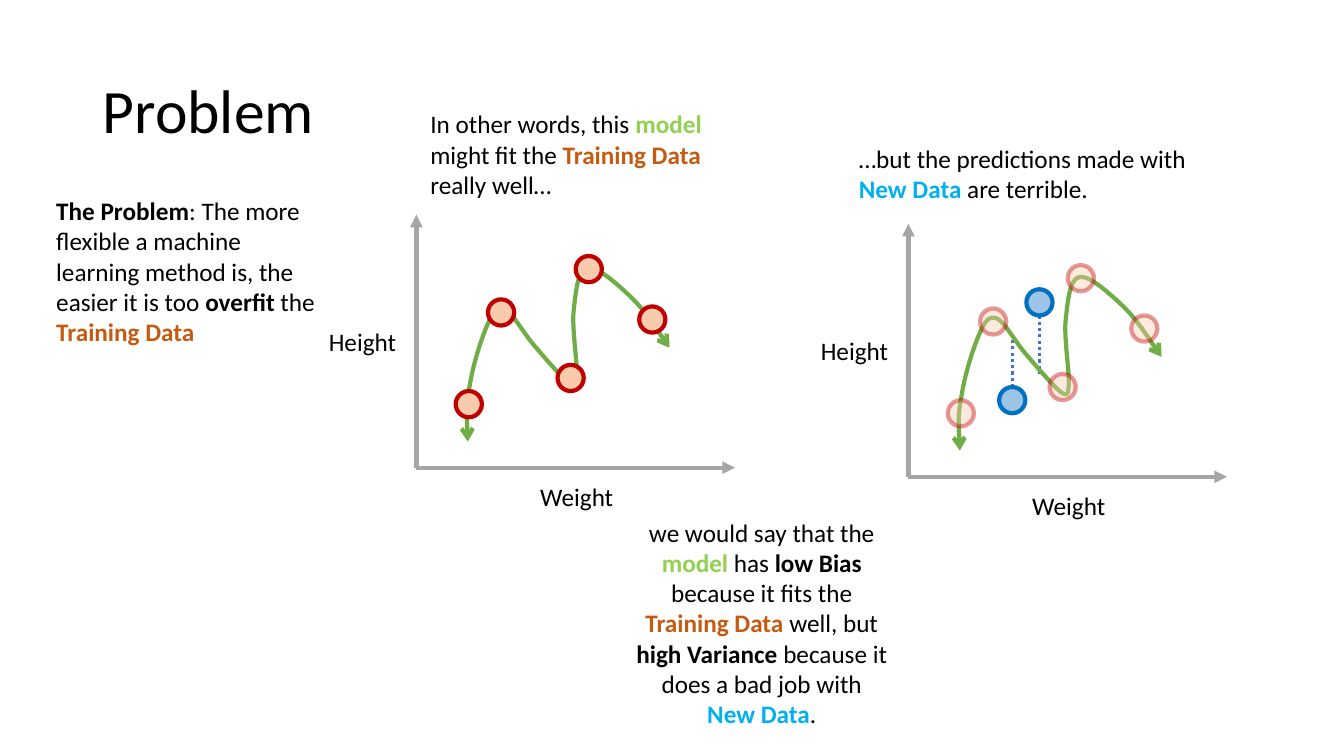
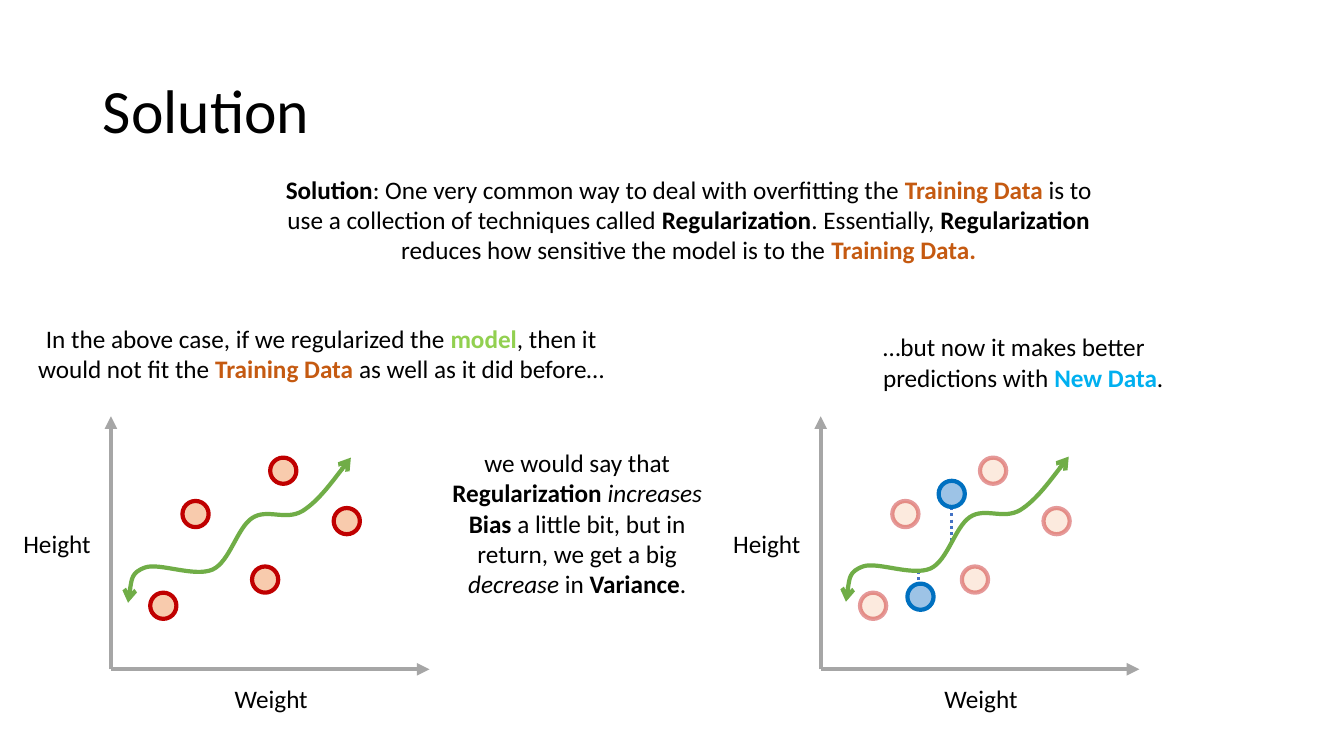
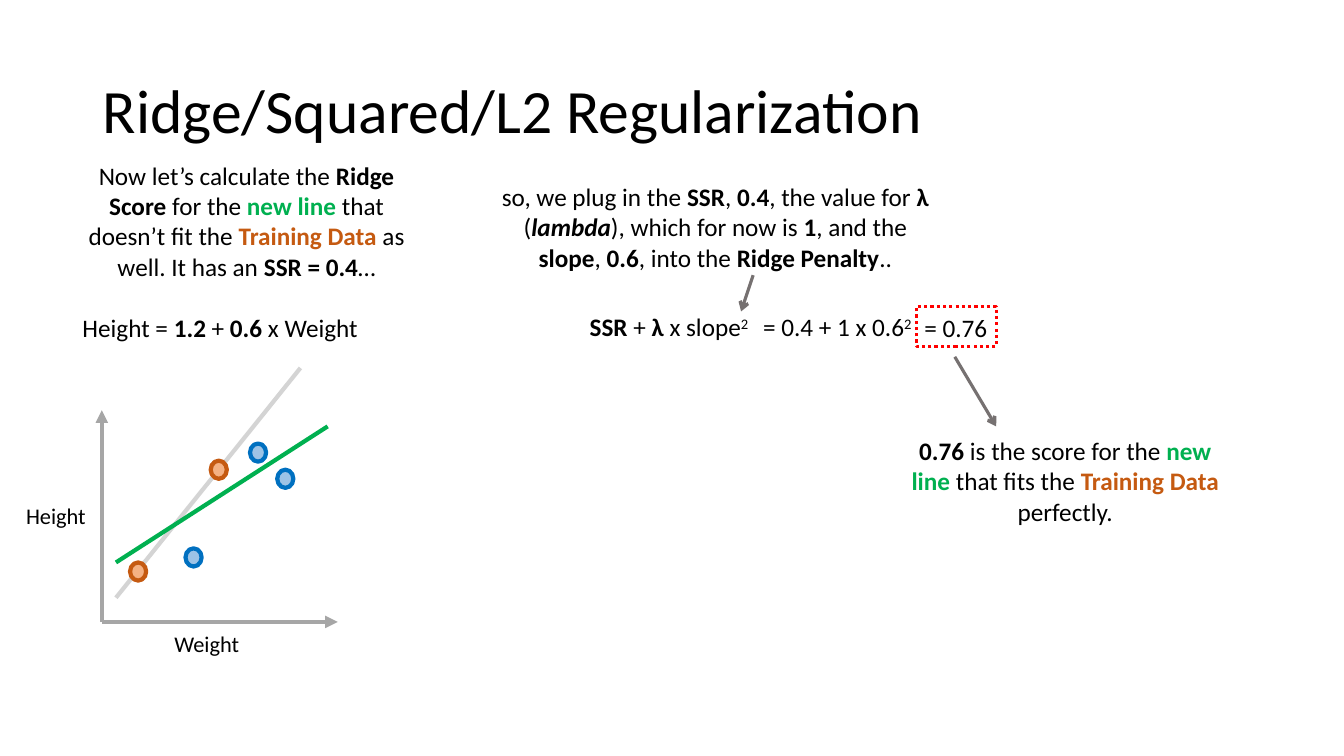
from pptx import Presentation
from pptx import util as u
from pptx.dml import color as col
from pptx.enum import dml, shapes, text
from pptx.oxml import ns
from lxml import etree

PX = 9144


class Theme:
    font = "Calibri"
    size = dict(title=44, body=18, small=16)
    ink = "000000"
    axis = "A6A6A6"
    curve = "70AD47"
    gap = "4472C4"
    fresh = "00B050"
    arrow = "767171"
    frame = "FF0000"
    runs = dict(
        plain=dict(), b=dict(bold=True), i=dict(italic=True),
        bi=dict(bold=True, italic=True), sup=dict(),
        model=dict(bold=True, tint="92D050"),
        train=dict(bold=True, tint="C55A11"),
        new=dict(bold=True, tint="00B0F0"),
        fresh=dict(bold=True, tint=fresh))
    dots = dict(
        train=("F8CBAD", "C00000", None), faint=("F8CBAD", "C00000", 40),
        new=("9DC3E6", "0070C0", None), fit=("F4B183", "C55A11", None))


LEFT, MID = text.PP_ALIGN.LEFT, text.PP_ALIGN.CENTER
POINTS = [(39, 175), (71, 84), (140, 149), (158, 41), (221, 91)]
SWING = [(51, 225), (50, 206), (49, 188), (53, 169), (56, 149), (65, 121),
         (71, 108), (76, 96), (80, 91), (88, 94), (96, 98), (107, 119),
         (118, 131), (128, 143), (144, 161), (150, 166), (157, 171),
         (158, 172), (159, 160), (160, 148), (154, 113), (156, 95),
         (158, 77), (160, 55), (169, 53), (178, 50), (197, 67), (211, 80),
         (225, 93), (251, 132), (251, 132)]
WAVE = [(17, 185), (19, 170), (20, 155), (34, 150), (48, 145), (83, 160),
        (101, 152), (118, 144), (125, 111), (140, 101), (155, 91),
        (173, 104), (190, 94), (206, 84), (238, 41), (238, 41)]
LARGE = dict(w=316, h=251, tall=(-98, 106), wide=(108, 260), size="body", dot=(26, 26))
SMALL = dict(w=234, h=210, tall=(-90, 86), wide=(53, 213), size="small", dot=(16, 18))


def emu(*vals):
    return [round(v * PX) for v in vals]


def rgb(code):
    return col.RGBColor.from_string(code)


def put(obj, vals):
    for key, val in vals.items():
        setattr(obj, key, val)


def fade(shape, alpha):
    if alpha:
        for node in shape.element.iter(ns.qn("a:srgbClr")):
            etree.SubElement(node, ns.qn("a:alpha"), val=str(alpha * 1000))


def pen(shape, tint, width=3, dash=False, head=None, tail=None):
    shape.line.color.rgb = rgb(tint)
    shape.line.width = u.Pt(width)
    if dash:
        shape.line.dash_style = dml.MSO_LINE.ROUND_DOT
    line = shape.element.spPr.find(ns.qn("a:ln"))
    for tag, kind in (("a:headEnd", head), ("a:tailEnd", tail)):
        if kind:
            etree.SubElement(line, ns.qn(tag), type=kind)


def rule(area, start, end, tint, alpha=None, **style):
    line = area.add_connector(shapes.MSO_CONNECTOR.STRAIGHT, *emu(*start, *end))
    pen(line, tint, **style)
    fade(line, alpha)
    etree.SubElement(line.element.spPr, ns.qn("a:effectLst"))


def write(frame, runs, size, align, **format):
    para = frame.paragraphs[0]
    put(para, dict(alignment=align, **format))
    for item in runs:
        words, kind = (item, "plain") if isinstance(item, str) else item
        run = para.add_run()
        run.text = words
        style = dict(Theme.runs[kind])
        run.font.color.rgb = rgb(style.pop("tint", Theme.ink))
        put(run.font, dict(name=Theme.font, size=u.Pt(Theme.size[size]), **style))
        if kind == "sup":
            run.font._element.set("baseline", "30000")


def note(area, box, runs, align=MID, size="body"):
    frame = area.add_textbox(*emu(*box)).text_frame
    put(frame, dict(word_wrap=True, auto_size=text.MSO_AUTO_SIZE.SHAPE_TO_FIT_TEXT))
    write(frame, runs, size, align)


def begin(deck, name, width=584):
    slide = deck.slides.add_slide(deck.slide_layouts[5])
    title = slide.shapes.title
    put(title, dict(zip(("left", "top", "width", "height"), emu(92, 40, width, 145))))
    put(title.text_frame, dict(vertical_anchor=text.MSO_ANCHOR.MIDDLE,
                               auto_size=text.MSO_AUTO_SIZE.NONE, word_wrap=True))
    write(title.text_frame, [name], "title", LEFT, line_spacing=0.9)
    return slide.shapes


def bend(area, points):
    first, *rest = [tuple(emu(*p)) for p in points]
    build = area.build_freeform(*first)
    build.add_line_segments(rest, close=False)
    shape = build.convert_to_shape()
    trace = shape.element.find(".//" + ns.qn("a:path"))
    steps = trace.findall(ns.qn("a:lnTo"))
    for i in range(0, len(steps), 3):
        cubic = etree.SubElement(trace, ns.qn("a:cubicBezTo"))
        for step in steps[i:i + 3]:
            cubic.append(step[0])
            trace.remove(step)
    shape.fill.background()
    shape.shadow.inherit = False
    pen(shape, Theme.curve, head="arrow", tail="arrow")


def mark(area, box, kind):
    fill, edge, alpha = Theme.dots[kind]
    dot = area.add_shape(shapes.MSO_SHAPE.OVAL, *emu(*box))
    dot.shadow.inherit = False
    dot.fill.solid()
    dot.fill.fore_color.rgb = rgb(fill)
    pen(dot, edge)
    fade(dot, alpha)


def plot(page, x, y, form, dots, curve=(), shift=(0, 0), gaps=(), lines=()):
    area = page.add_group_shape().shapes
    w, h = form["w"], form["h"]

    def at(point):
        return x + point[0], y + point[1]

    for start, end in gaps:
        rule(area, at(start), at(end), Theme.gap, width=2.25, dash=True)
    for start, end, tint, alpha in lines:
        rule(area, at(start), at(end), tint, alpha)
    for end in ((0, 0), (w, h)):
        rule(area, at((0, h)), at(end), Theme.axis, tail="triangle")
    if curve:
        bend(area, [at((a + shift[0], b + shift[1])) for a, b in curve])
    for kind, spots in dots.items():
        for spot in spots:
            mark(area, (*at(spot), *form["dot"]), kind)
    for name, key, wide in (("Height", "tall", 89), ("Weight", "wide", 102)):
        note(area, (*at(form[key]), wide, 37), [name], size=form["size"])


def sums(page, x, y):
    note(page, (x, y, 183, 40),
         [("SSR", "b"), " + ", ("λ ", "b"), "x slope", ("2", "sup")], LEFT)
    note(page, (x + 172, y, 196, 40), ["= 0.4 + 1 x 0.6", ("2", "sup")], LEFT)
    note(page, (x + 332, y + 1, 83, 40), ["= 0.76"], LEFT)
    frame = page.add_shape(shapes.MSO_SHAPE.RECTANGLE, *emu(x + 334, y, 79, 40))
    frame.shadow.inherit = False
    frame.fill.background()
    pen(frame, Theme.frame, width=2.25, dash=True)


def problem(deck):
    page = begin(deck, "Problem")
    plot(page, 413, 213, LARGE, dict(train=POINTS), SWING)
    note(page, (46, 189, 283, 162), [
        ("The Problem", "b"),
        ": The more flexible a machine learning method is, the easier it is too ",
        ("overfit", "b"), " the ", ("Training Data", "train")], LEFT)
    plot(page, 901, 222, LARGE, dict(faint=POINTS, new=[(117, 65), (90, 162)]), SWING,
         gaps=[((130, 91), (130, 149)), ((103, 162), (103, 110))])
    note(page, (842, 137, 354, 71), [
        "…but the predictions made with ", ("New Data ", "new"), "are terrible."], LEFT)
    note(page, (620, 508, 271, 222), [
        "we would say that the ", ("model", "model"), " has ", ("low Bias ", "b"),
        "because it fits the ", ("Training Data ", "train"), "well, but ",
        ("high Variance ", "b"), "because it does a bad job with ",
        ("New Data", "new"), "."])
    note(page, (417, 103, 299, 101), [
        "In other words, this ", ("model", "model"), " might fit the ",
        ("Training Data ", "train"), "really well…"], LEFT)


def solve(deck):
    page = begin(deck, "Solution")
    note(page, (262, 168, 842, 101), [
        ("Solution", "b"), ": One very common way to deal with overfitting the ",
        ("Training Data ", "train"), "is to use a collection of techniques called ",
        ("Regularization", "b"), ". Essentially, ", ("Regularization", "b"),
        " reduces how sensitive the model is to the ", ("Training Data.", "train")])
    plot(page, 814, 413, LARGE, dict(faint=POINTS, new=[(117, 64), (86, 166)]),
         WAVE, (8, -1), gaps=[((130, 90), (130, 125)), ((97, 169), (97, 154))])
    plot(page, 110, 413, LARGE, dict(train=POINTS), WAVE)
    note(page, (21, 316, 595, 71), [
        "In the above case, if we regularized the ", ("model", "model"),
        ", then it would not fit the ", ("Training Data ", "train"),
        "as well as it did before…"])
    note(page, (866, 324, 358, 71), [
        "…but now it makes better predictions with ", ("New Data", "new"), "."], LEFT)
    note(page, (418, 439, 309, 162), [
        "we would say that ", ("Regularization ", "b"), ("increases ", "i"),
        ("Bias", "b"), " a little bit, but in return, we get a big ",
        ("decrease", "i"), " in ", ("Variance", "b"), "."])


def ridge(deck):
    page = begin(deck, "Ridge/Squared/L2 Regularization", 887)
    note(page, (61, 154, 367, 131), [
        "Now let’s calculate the ", ("Ridge Score ", "b"), "for the ",
        ("new line ", "fresh"), "that doesn’t fit the ", ("Training Data ", "train"),
        "as well. It has an ", ("SSR = 0.4", "b"), "…"])
    note(page, (72, 305, 383, 40), [
        "Height = ", ("1.2", "b"), " + ", ("0.6", "b"), " x Weight"], LEFT)
    note(page, (476, 175, 467, 101), [
        "so, we plug in the ", ("SSR", "b"), ", ", ("0.4", "b"), ", the value for ",
        ("λ", "b"), " (", ("lambda", "bi"), "), which for now is ", ("1", "b"),
        ", and the ", ("slope", "b"), ", ", ("0.6", "b"), ", into the ",
        ("Ridge Penalty", "b"), ".."])
    sums(page, 575, 304)
    for start, end in (((747, 273), (735, 309)), ((947, 354), (988, 423))):
        rule(page, start, end, Theme.arrow, width=2.25, tail="arrow")
    note(page, (894, 427, 325, 101), [
        ("0.76", "b"), " is the score for the ", ("new line ", "fresh"),
        "that fits the ", ("Training Data", "train"), " perfectly."])
    plot(page, 101, 407, SMALL,
         dict(fit=[(28, 151), (108, 50)], new=[(83, 137), (147, 33), (174, 59)]),
         lines=[((14, 186), (197, -42), Theme.ink, 17),
                ((14, 151), (224, 16), Theme.fresh, None)])


def main():
    deck = Presentation()
    put(deck, dict(zip(("slide_width", "slide_height"), emu(1333, 750))))
    for make in (problem, solve, ridge):
        make(deck)
    deck.save("out.pptx")


if __name__ == "__main__":
    main()
